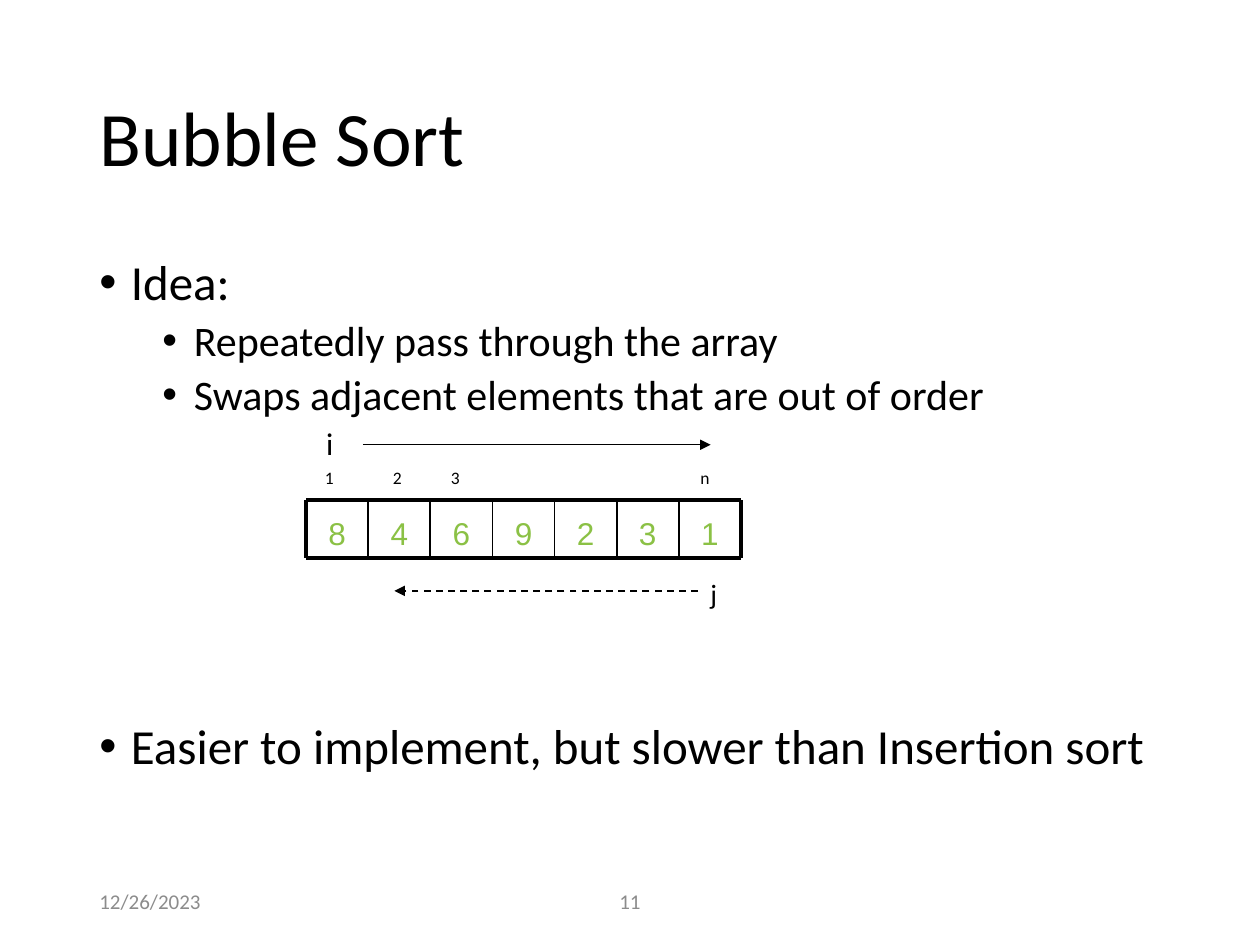
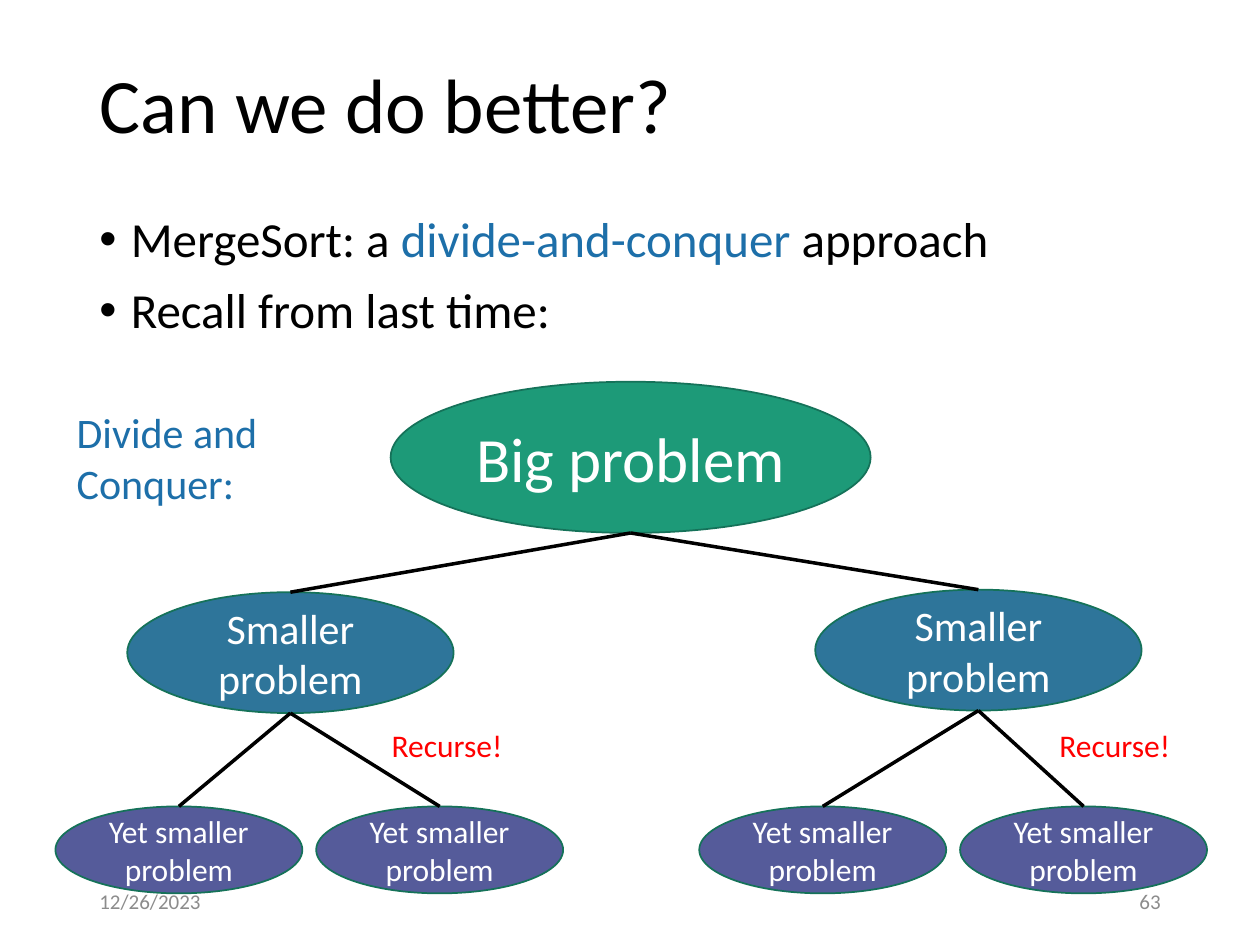
from lxml import etree
from pptx import Presentation
from pptx.dml.color import RGBColor
from pptx.enum import dml, shapes, text
from pptx.oxml import ns
from pptx.util import Inches, Pt

BLACK = RGBColor(0x00, 0x00, 0x00)
WHITE = RGBColor(0xFF, 0xFF, 0xFF)
GRAY = RGBColor(0x8C, 0x8C, 0x8C)
RED = RGBColor(0xFF, 0x00, 0x00)
BLUE = RGBColor(0x1D, 0x6F, 0xA9)
LIME = RGBColor(0x8B, 0xC1, 0x45)
GREEN = RGBColor(0x1D, 0x9A, 0x78)
DARK_GREEN = RGBColor(0x15, 0x72, 0x59)
TEAL = RGBColor(0x2E, 0x75, 0x9A)
PURPLE = RGBColor(0x55, 0x5B, 0x9A)
LEFT, CENTER, RIGHT = text.PP_ALIGN.LEFT, text.PP_ALIGN.CENTER, text.PP_ALIGN.RIGHT
TOP, MIDDLE, BOTTOM = text.MSO_ANCHOR.TOP, text.MSO_ANCHOR.MIDDLE, text.MSO_ANCHOR.BOTTOM


def put_text(sp, string, size, color, align=LEFT, anchor=TOP, font="Calibri", wrap=True):
    tf = sp.text_frame
    tf.text = string
    tf.word_wrap = wrap
    tf.vertical_anchor = anchor
    p = tf.paragraphs[0]
    p.alignment = align
    r = p.runs[0]
    r.font.name = font
    r.font.size = Pt(size)
    r.font.color.rgb = color


def add_line(s, x1, y1, x2, y2, width, arrow=False, dash=None):
    line = s.shapes.add_connector(shapes.MSO_CONNECTOR.STRAIGHT,
                                  Inches(x1), Inches(y1), Inches(x2), Inches(y2))
    line.line.color.rgb = BLACK
    line.line.width = Pt(width)
    if dash:
        line.line.dash_style = dash
    if arrow:
        etree.SubElement(line.line._get_or_add_ln(), ns.qn("a:tailEnd"), type="triangle")
    etree.SubElement(line._element.spPr, ns.qn("a:effectLst"))
    return line


prs = Presentation()
prs.slide_width, prs.slide_height = Inches(10), Inches(7.5)

# Each slide: title, title height, body top and height, page number box and alignment,
# bullets as (level, space before, runs)
pages = [
    ("Bubble Sort", 1.45, 2, 4.76, ("11", 3.31, 3.38, CENTER), [
        (0, 0, [("Idea:", BLACK)]),
        (1, 5, [("Repeatedly pass through the array", BLACK)]),
        (1, 5, [("Swaps adjacent elements that are out of order", BLACK)]),
        (0, 173, [("Easier to implement, but slower than Insertion sort", BLACK)])]),
    ("Can we do better?", 0.92, 1.66, 1.25, ("63", 7.06, 2.25, RIGHT), [
        (0, 0, [("MergeSort: a ", BLACK), ("divide-and-conquer", BLUE), (" approach", BLACK)]),
        (0, 10, [("Recall from last time:", BLACK)])]),
]

# Title, bullets, date and page number of every slide
for title, title_height, body_top, body_height, page_number, bullets in pages:
    s = prs.slides.add_slide(prs.slide_layouts[5])
    sp = s.shapes.title
    sp.left, sp.top = Inches(0.69), Inches(0.4)
    sp.width, sp.height = Inches(8.62), Inches(title_height)
    put_text(sp, title, 44, BLACK, anchor=MIDDLE)
    sp.text_frame.auto_size = text.MSO_AUTO_SIZE.NONE
    sp.text_frame.paragraphs[0].line_spacing = 0.9

    body = s.shapes.add_textbox(Inches(0.69), Inches(body_top), Inches(8.62), Inches(body_height))
    tf = body.text_frame
    tf.word_wrap = True
    for i, (level, space, runs) in enumerate(bullets):
        p = tf.paragraphs[0] if i == 0 else tf.add_paragraph()
        p.level = level
        p.line_spacing = 0.9
        p.space_before = Pt(space)
        pPr = p._p.get_or_add_pPr()
        pPr.set("marL", str(Inches(0.25 + 0.5 * level)))
        pPr.set("indent", str(Inches(-0.25)))
        etree.SubElement(pPr, ns.qn("a:buFont"), typeface="Arial")
        etree.SubElement(pPr, ns.qn("a:buChar"), char="•")
        for words, color in runs:
            r = p.add_run()
            r.text = words
            r.font.name = "Calibri"
            r.font.size = Pt(28 - 4 * level)
            r.font.color.rgb = color

    for words, x, w, align in [("12/26/2023", 0.69, 2.25, LEFT), page_number]:
        sp = s.shapes.add_textbox(Inches(x), Inches(6.95), Inches(w), Inches(0.4))
        put_text(sp, words, 12, GRAY, align, MIDDLE)

bubble, merge = prs.slides

# Bubble sort: index labels and loop variables
for label, x, y, w, h, size in [("1", 2.48, 3.66, 0.25, 0.27, 10), ("2", 3.02, 3.66, 0.25, 0.27, 10),
                                ("3", 3.48, 3.66, 0.25, 0.27, 10), ("n", 5.46, 3.66, 0.25, 0.27, 10),
                                ("i", 2.49, 3.32, 0.26, 0.4, 18), ("j", 5.54, 4.53, 0.25, 0.37, 16)]:
    sp = bubble.shapes.add_textbox(Inches(x), Inches(y), Inches(w), Inches(h))
    put_text(sp, label, size, BLACK, wrap=False)
add_line(bubble, 2.88, 3.53, 5.64, 3.53, 0.75, arrow=True)
add_line(bubble, 5.54, 4.69, 3.13, 4.69, 1, arrow=True, dash=dml.MSO_LINE.DASH)

# Bubble sort: array values and grid
values = [8, 4, 6, 9, 2, 3, 1]
array_left, array_right, array_top, array_bottom = 2.43, 5.88, 3.97, 4.43
cell = (array_right - array_left) / len(values)
for i, value in enumerate(values):
    sp = bubble.shapes.add_textbox(Inches(array_left + i * cell), Inches(array_top),
                                   Inches(cell), Inches(array_bottom - array_top))
    put_text(sp, str(value), 18, LIME, CENTER, BOTTOM, font="Arial")
for y in (array_top, array_bottom):
    add_line(bubble, array_left, y, array_right, y, 2.25)
for i in range(len(values) + 1):
    x = array_left + i * cell
    add_line(bubble, x, array_top, x, array_bottom, 2.25 if i in (0, len(values)) else 1)

# Merge sort: problem tree, each node with the index of its parent
levels = {"Big problem": (3.81, 1.2, GREEN, 36),
          "Smaller problem": (2.59, 0.96, TEAL, 24),
          "Yet smaller problem": (1.96, 0.69, PURPLE, 18)}
nodes = [("Big problem", 3.1, 3.03, None),
         ("Smaller problem", 1.01, 4.7, 0), ("Smaller problem", 6.47, 4.68, 0),
         ("Yet smaller problem", 0.44, 6.4, 1), ("Yet smaller problem", 2.51, 6.4, 1),
         ("Yet smaller problem", 5.55, 6.4, 2), ("Yet smaller problem", 7.62, 6.4, 2)]
ellipses = []
for name, x, y, parent in nodes:
    w, h, fill, size = levels[name]
    sp = merge.shapes.add_shape(shapes.MSO_SHAPE.OVAL, Inches(x), Inches(y), Inches(w), Inches(h))
    sp.shadow.inherit = False
    sp.fill.solid()
    sp.fill.fore_color.rgb = fill
    sp.line.color.rgb = DARK_GREEN
    sp.line.width = Pt(1)
    put_text(sp, name, size, WHITE, CENTER, MIDDLE)
    ellipses.append(sp)

# Merge sort: branches from the bottom of a parent to the top of its child
for (name, x, y, parent), child in zip(nodes, ellipses):
    if parent is not None:
        parent_name, px, py, _ = nodes[parent]
        pw, ph = levels[parent_name][:2]
        branch = add_line(merge, px + pw / 2, py + ph, x + levels[name][0] / 2, y, 2)
        branch.end_connect(child, 0)

# Merge sort: captions
for caption, x, y, w, h, size, color, wrap in [
        ("Divide and Conquer:", 0.51, 3.18, 1.82, 0.91, 24, BLUE, True),
        ("Recurse!", 3.01, 5.71, 1.09, 0.4, 18, RED, False),
        ("Recurse!", 8.31, 5.71, 1.09, 0.4, 18, RED, False)]:
    sp = merge.shapes.add_textbox(Inches(x), Inches(y), Inches(w), Inches(h))
    put_text(sp, caption, size, color, wrap=wrap)

prs.save("out.pptx")
